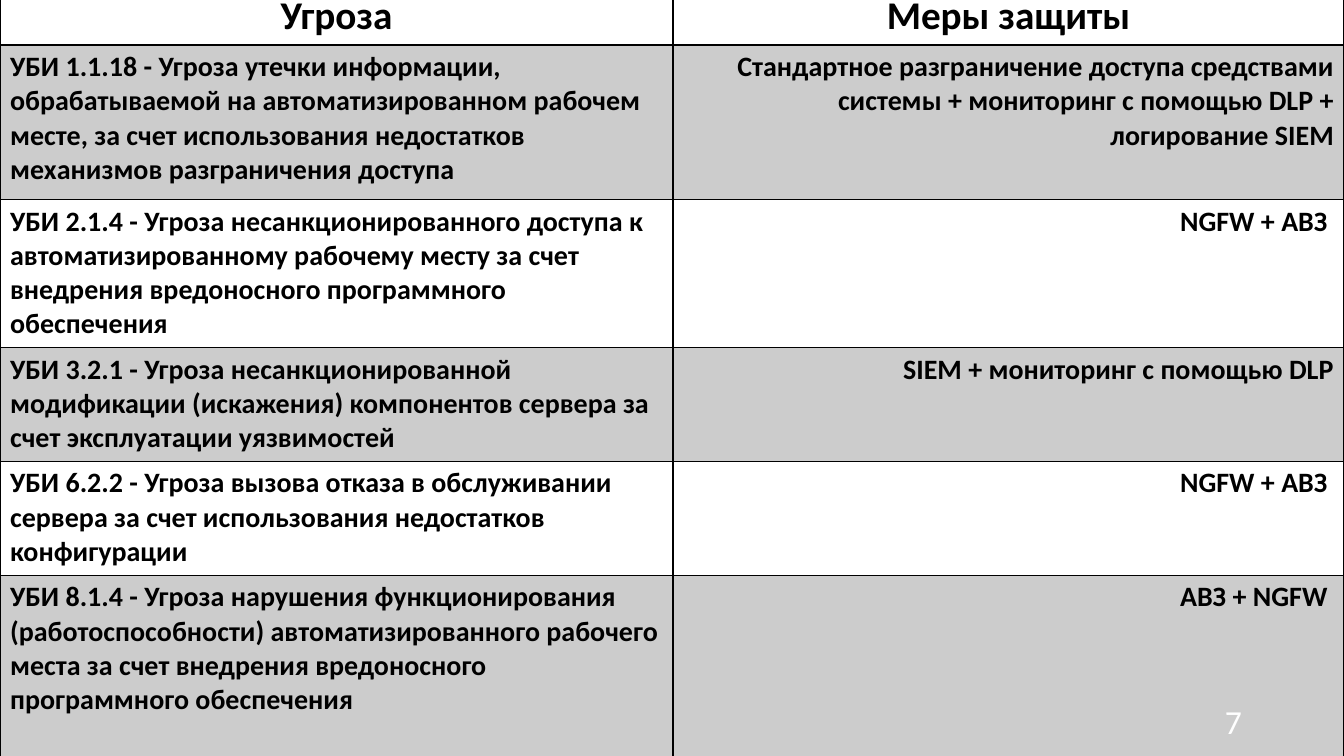
from dataclasses import dataclass

from lxml import etree
from pptx import Presentation
from pptx.dml.color import RGBColor
from pptx.enum.text import MSO_ANCHOR, PP_ALIGN
from pptx.oxml.ns import qn
from pptx.util import Cm, Pt

LEFT, CENTER, RIGHT = PP_ALIGN.LEFT, PP_ALIGN.CENTER, PP_ALIGN.RIGHT
MIDDLE = MSO_ANCHOR.MIDDLE
BLANK_LAYOUT = 6


@dataclass(frozen=True)
class Theme:
    font: str = "Calibri"
    ink: str = "000000"
    number: str = "FFFFFF"
    band_opacity: int = 20
    header_size: int = 28
    body_size: int = 20
    number_size: int = 24
    thin_line: int = 1
    header_line: int = 2


THEME = Theme()
COLUMN_WIDTHS = (16.96, 16.91)
ROW_HEIGHTS = (1.09, 3.89, 3.73, 2.87, 2.87, 4.6)
HEADINGS = ("Угроза", "Меры защиты")
THREATS = (
    ("УБИ 1.1.18 - Угроза утечки информации, обрабатываемой на "
     "автоматизированном рабочем месте, за счет использования недостатков "
     "механизмов разграничения доступа",
     "Стандартное разграничение доступа средствами системы + мониторинг "
     "с помощью DLP + логирование SIEM"),
    ("УБИ 2.1.4 - Угроза несанкционированного доступа к автоматизированному "
     "рабочему месту за счет внедрения вредоносного программного обеспечения",
     "NGFW + АВЗ "),
    ("УБИ 3.2.1 - Угроза несанкционированной модификации (искажения) "
     "компонентов сервера за счет эксплуатации уязвимостей",
     "SIEM + мониторинг с помощью DLP"),
    ("УБИ 6.2.2 - Угроза вызова отказа в обслуживании сервера за счет "
     "использования недостатков конфигурации",
     "NGFW + АВЗ "),
    ("УБИ 8.1.4 - Угроза нарушения функционирования (работоспособности) "
     "автоматизированного рабочего места за счет внедрения вредоносного "
     "программного обеспечения",
     "АВЗ + NGFW "),
)


def write_text(frame, text, size, color, align, bold=False):
    para = frame.paragraphs[0]
    para.alignment = align
    span = para.add_run()
    span.text = text
    span.font.name = THEME.font
    span.font.size = Pt(size)
    span.font.bold = bold
    span.font.color.rgb = RGBColor.from_string(color)


def add_color(parent, color):
    fill = etree.SubElement(parent, qn("a:solidFill"))
    return etree.SubElement(fill, qn("a:srgbClr"), val=color)


def set_borders(cell, top, bottom):
    thin = THEME.thin_line
    properties = cell._tc.get_or_add_tcPr()
    for side, width in (("L", thin), ("R", thin), ("T", top), ("B", bottom)):
        line = etree.SubElement(properties, qn(f"a:ln{side}"), w=str(Pt(width)))
        add_color(line, THEME.ink)


def set_fill(cell, banded):
    if banded:
        color = add_color(cell._tc.get_or_add_tcPr(), THEME.ink)
        etree.SubElement(color, qn("a:alpha"), val=str(THEME.band_opacity * 1000))
    else:
        cell.fill.background()


def format_cell(cell, text, row, column):
    header = row == 0
    size = THEME.header_size if header else THEME.body_size
    align = CENTER if header else (LEFT, RIGHT)[column]
    write_text(cell.text_frame, text, size, THEME.ink, align, bold=True)
    set_borders(
        cell,
        top=THEME.header_line if row == 1 else THEME.thin_line,
        bottom=THEME.header_line if header else THEME.thin_line,
    )
    set_fill(cell, banded=row % 2 == 1)


def add_threat_table(page):
    rows = (HEADINGS, *THREATS)
    table = page.shapes.add_table(
        len(rows), len(HEADINGS), Cm(0), Cm(-0.33),
        Cm(sum(COLUMN_WIDTHS)), Cm(sum(ROW_HEIGHTS)),
    ).table
    table.first_row = True
    table.horz_banding = False
    for column, width in zip(table.columns, COLUMN_WIDTHS):
        column.width = Cm(width)
    for row, (texts, height) in enumerate(zip(rows, ROW_HEIGHTS)):
        table.rows[row].height = Cm(height)
        for column, text in enumerate(texts):
            format_cell(table.cell(row, column), text, row, column)


def add_page_number(page, number):
    box = page.shapes.add_textbox(Cm(23.93), Cm(17.65), Cm(7.62), Cm(1.02))
    box.text_frame.word_wrap = True
    box.text_frame.vertical_anchor = MIDDLE
    write_text(box.text_frame, number, THEME.number_size, THEME.number, RIGHT)


def main():
    deck = Presentation()
    deck.slide_width, deck.slide_height = Cm(33.87), Cm(19.05)
    page = deck.slides.add_slide(deck.slide_layouts[BLANK_LAYOUT])
    add_threat_table(page)
    add_page_number(page, "7")
    deck.save("out.pptx")


if __name__ == "__main__":
    main()
